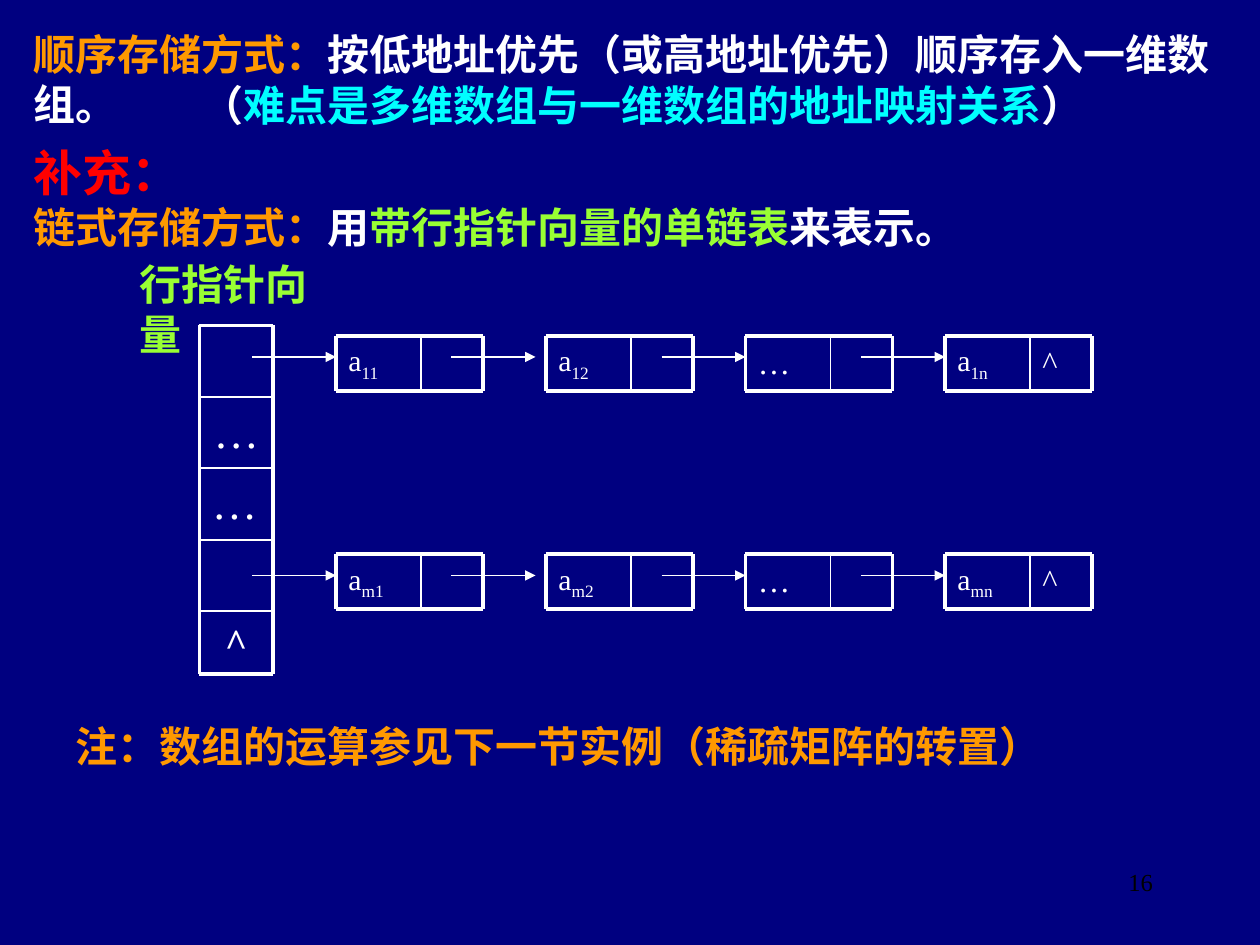
from dataclasses import dataclass

from lxml import etree
from pptx import Presentation
from pptx.dml.color import RGBColor
from pptx.enum.shapes import MSO_CONNECTOR
from pptx.enum.text import MSO_ANCHOR, MSO_AUTO_SIZE, PP_ALIGN
from pptx.oxml.ns import qn
from pptx.util import Inches, Pt

STRAIGHT = MSO_CONNECTOR.STRAIGHT
MIDDLE = MSO_ANCHOR.MIDDLE
FIXED, GROW = MSO_AUTO_SIZE.NONE, MSO_AUTO_SIZE.SHAPE_TO_FIT_TEXT
LEFT, CENTER, RIGHT = PP_ALIGN.LEFT, PP_ALIGN.CENTER, PP_ALIGN.RIGHT


@dataclass(frozen=True)
class Theme:
    font: str = "Times New Roman"
    background: str = "000080"
    white: str = "FFFFFF"
    black: str = "000000"
    orange: str = "FF9900"
    red: str = "FF0000"
    green: str = "99FF33"
    cyan: str = "00FFFF"
    heading: float = 28
    body: float = 24
    dots: float = 25.9
    end_mark: float = 22.2
    symbol: float = 18.5
    element: float = 17
    number: float = 14
    thick: float = 2.25
    thin: float = 1
    arrow: float = 0.75


THEME = Theme()
COLUMNS, ROWS = 120, 90
WIDTH, HEIGHT = Inches(10), Inches(7.5)

VECTOR_LEFT, VECTOR_TOP, VECTOR_WIDTH = 19, 31, 7
VECTOR_STEP, VECTOR_CELLS, LAST_CELL = 6.8, 5, 6
NODE_LEFTS = (32, 52, 71, 90)
NODE_WIDTH, NODE_HEIGHT, DATA_WIDTH = 14, 5.2, 8.1
ARROW_LENGTH, ARROW_DROP = 8, 2
LISTS = ((32, "1"), (52.8, "m"))


def across(column):
    return round(WIDTH * column / COLUMNS)


def down(row):
    return round(HEIGHT * row / ROWS)


def place(left, top, width, height):
    return across(left), down(top), across(width), down(height)


def run(text, color=THEME.white, size=THEME.body, bold=True, baseline=0):
    return text, {"name": THEME.font, "size": Pt(size), "bold": bold}, color, baseline


def fill_text(frame, runs, align=LEFT, wrap=True, auto_size=FIXED):
    settings = {"word_wrap": wrap, "auto_size": auto_size}
    for name, value in settings.items():
        setattr(frame, name, value)
    para = frame.paragraphs[0]
    para.alignment = align
    for text, formats, color, baseline in runs:
        span = para.add_run()
        span.text = text.rstrip("\n")
        for name, value in formats.items():
            setattr(span.font, name, value)
        span.font.color.rgb = RGBColor.from_string(color)
        if baseline:
            span._r.get_or_add_rPr().set("baseline", str(baseline))
        if text.endswith("\n"):
            para.add_line_break()


def add_text(page, area, runs, **settings):
    box = page.shapes.add_textbox(*place(*area))
    fill_text(box.text_frame, runs, **settings)


def add_line(page, start, end, width, arrow=False):
    line = page.shapes.add_connector(
        STRAIGHT, across(start[0]), down(start[1]), across(end[0]), down(end[1])
    )
    line.line.color.rgb = RGBColor.from_string(THEME.white)
    line.line.width = Pt(width)
    properties = line._element.spPr
    if arrow:
        etree.SubElement(properties.find(qn("a:ln")), qn("a:tailEnd"), type="triangle")
    etree.SubElement(properties, qn("a:effectLst"))


def add_arrow(page, left, top):
    add_line(page, (left, top), (left + ARROW_LENGTH, top), THEME.arrow, arrow=True)


def add_frame(page, left, top, width, height):
    right, bottom = left + width, top + height
    for y in (top, bottom):
        add_line(page, (left, y), (right, y), THEME.thick)
    for x in (left, right):
        add_line(page, (x, top), (x, bottom), THEME.thick)


def add_vector(page):
    tops = [VECTOR_TOP + VECTOR_STEP * index for index in range(VECTOR_CELLS)]
    dots = run("…", size=THEME.dots, bold=False)
    end_mark = run("^", size=THEME.end_mark)
    cells = (
        (1, VECTOR_STEP, dots, CENTER),
        (2, VECTOR_STEP, dots, LEFT),
        (4, LAST_CELL, end_mark, CENTER),
    )
    for index, height, content, align in cells:
        area = (VECTOR_LEFT, tops[index], VECTOR_WIDTH, height)
        add_text(page, area, [content], align=align)
    add_frame(page, VECTOR_LEFT, VECTOR_TOP, VECTOR_WIDTH, tops[-1] + LAST_CELL - VECTOR_TOP)
    for top in tops[1:]:
        add_line(page, (VECTOR_LEFT, top), (VECTOR_LEFT + VECTOR_WIDTH, top), THEME.thin)


def add_node(page, left, top, runs, last):
    divider = left + DATA_WIDTH
    add_text(page, (left, top, DATA_WIDTH, NODE_HEIGHT), runs)
    add_frame(page, left, top, NODE_WIDTH, NODE_HEIGHT)
    add_line(page, (divider, top), (divider, top + NODE_HEIGHT), THEME.thin)
    if last:
        area = (divider, top, NODE_WIDTH - DATA_WIDTH, NODE_HEIGHT)
        add_text(page, area, [run("^", size=THEME.symbol, bold=False)])
    else:
        add_arrow(page, left + 11, top + ARROW_DROP)


def add_linked_list(page, top, row_name):
    add_arrow(page, NODE_LEFTS[0] - ARROW_LENGTH, top + ARROW_DROP)
    for left, column_name in zip(NODE_LEFTS, ("1", "2", "", "n")):
        if column_name:
            runs = [
                run("a", size=THEME.element, bold=False),
                run(row_name + column_name, size=THEME.element, bold=False, baseline=-25000),
            ]
        else:
            runs = [run("…", size=THEME.symbol, bold=False)]
        add_node(page, left, top, runs, left == NODE_LEFTS[-1])


def add_title(page):
    title = page.shapes.title
    for name, value in zip(("left", "top", "width", "height"), place(2, 1, 118, 13)):
        setattr(title, name, value)
    title.text_frame.vertical_anchor = MIDDLE
    fill_text(title.text_frame, [
        run("顺序存储方式：", THEME.orange),
        run("按低地址优先（或高地址优先）顺序存入一维数组。"),
    ])


def add_notes_on_storage(page):
    add_text(page, (18, 7, 86.4, 6), [
        run("（"),
        run("难点是多维数组与一维数组的地址映射关系", THEME.cyan),
        run("）"),
    ], wrap=False, auto_size=GROW)
    add_text(page, (2, 13, 93, 11.6), [
        run("补充：\n", THEME.red, THEME.heading),
        run("链式存储方式：", THEME.orange),
        run("用"),
        run("带行指针向量的单链表", THEME.green),
        run("来表示。"),
    ], auto_size=GROW)
    add_text(page, (12.1, 24, 22.3, 6), [run("行指针向量", THEME.green)],
             wrap=False, auto_size=GROW)
    add_text(page, (6, 68, 106, 6),
             [run("注：数组的运算参见下一节实例（稀疏矩阵的转置）", THEME.orange)],
             auto_size=GROW)
    add_text(page, (86, 82, 25, 6), [run("16", THEME.black, THEME.number, bold=False)],
             align=RIGHT)


def main():
    deck = Presentation()
    deck.slide_width, deck.slide_height = WIDTH, HEIGHT
    page = deck.slides.add_slide(deck.slide_layouts[5])
    page.background.fill.solid()
    page.background.fill.fore_color.rgb = RGBColor.from_string(THEME.background)
    add_title(page)
    add_vector(page)
    for top, row_name in LISTS:
        add_linked_list(page, top, row_name)
    add_notes_on_storage(page)
    deck.save("out.pptx")


if __name__ == "__main__":
    main()
